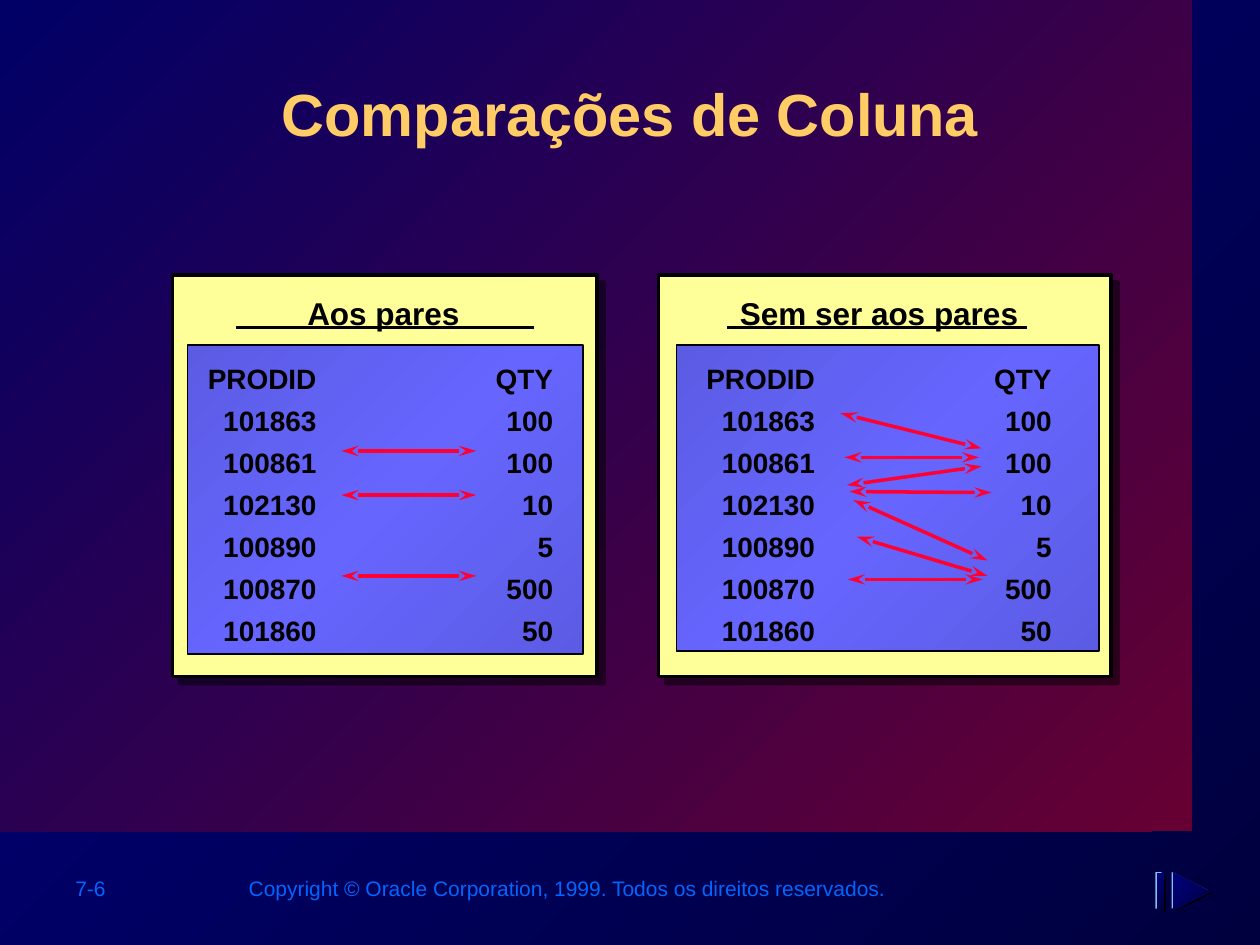
from copy import deepcopy
from dataclasses import dataclass

from lxml import etree
from pptx import Presentation, util as u
from pptx.dml.color import RGBColor
from pptx.enum import shapes as sh, text as tx
from pptx.oxml import ns

BLACK = RGBColor(0x00, 0x00, 0x00)
CREAM = RGBColor(0xFF, 0xFF, 0x99)
GOLD = RGBColor(0xFF, 0xCC, 0x66)
BLUE = RGBColor(0x00, 0x66, 0xFF)
RED = RGBColor(0xFF, 0x00, 0x33)
SKY = RGBColor(0x7F, 0xC1, 0xEB)
NIGHT = (RGBColor(0x00, 0x00, 0x3F), RGBColor(0x00, 0x00, 0x80))
WINE = (RGBColor(0x66, 0x00, 0x33), RGBColor(0x00, 0x00, 0x66))
EDGE = RGBColor(0x5B, 0x5B, 0xE4)
IRIS = (EDGE, RGBColor(0x66, 0x66, 0xFF), EDGE)

ROWS = [("PRODID", "QTY"), ("101863", "100"), ("100861", "100"), ("102130", "10"),
        ("100890", "5"), ("100870", "500"), ("101860", "50")]
TABLE = "\v".join(f"\t{prod}\t{qty}" for prod, qty in ROWS)


@dataclass
class Box:
    x: float
    y: float
    w: float
    h: float

    def args(self) -> tuple:
        return u.Cm(self.x), u.Cm(self.y), u.Cm(self.w), u.Cm(self.h)


@dataclass
class Link:
    x1: float
    y1: float
    x2: float
    y2: float


@dataclass
class Card:
    title: str
    frame: Box
    inner: Box
    head: Box
    body: Box
    rule: Link
    links: list[Link]


def add(node, tag: str, **attrs):
    return etree.SubElement(node, ns.qn(tag), {k: str(v) for k, v in attrs.items()})


def shade(node, dist: float) -> None:
    drop = add(add(node, "a:effectLst"), "a:outerShdw", blurRad=0,
               dist=u.Pt(dist), dir=45 * 60000, algn="ctr", rotWithShape=0)
    add(add(drop, "a:srgbClr", val=BLACK), "a:alpha", val=50000)


def blend(fill, node, tones: tuple) -> None:
    fill.gradient()
    fill.gradient_angle = 135
    stops = node.xpath(".//a:gradFill/a:gsLst")[0]
    while len(stops) < len(tones):
        stops.append(deepcopy(stops[-1]))
    last = len(tones) - 1
    for i, (stop, tone) in enumerate(zip(fill.gradient_stops, tones)):
        stop.color.rgb = tone
        stop.position = i / last


def paint(shape, tone, edge: float = 0) -> None:
    shape.shadow.inherit = False
    if isinstance(tone, RGBColor):
        shape.fill.solid()
        shape.fill.fore_color.rgb = tone
    else:
        blend(shape.fill, shape._element, tone)
    if edge:
        shape.line.color.rgb = BLACK
        shape.line.width = u.Pt(edge)
    else:
        shape.line.fill.background()


def rect(slide, box: Box, tone, edge: float = 0):
    shape = slide.shapes.add_shape(sh.MSO_SHAPE.RECTANGLE, *box.args())
    paint(shape, tone, edge)
    return shape


def wedge(slide, x: float, y: float, size: float, tone) -> None:
    form = slide.shapes.build_freeform(u.Cm(x + size), u.Cm(y + size / 2))
    form.add_line_segments([(u.Cm(x), u.Cm(y)), (u.Cm(x), u.Cm(y + size))], close=True)
    paint(form.convert_to_shape(), tone)


def write(slide, box: Box, words: str, *, size: float, tone: RGBColor, bold: bool = False,
          align=tx.PP_ALIGN.LEFT, wrap: bool = True, space: float = 1.0,
          tabs: tuple = (), drop: float = 0) -> None:
    frame = slide.shapes.add_textbox(*box.args()).text_frame
    frame.word_wrap = wrap
    para = frame.paragraphs[0]
    para.text = words
    para.alignment = align
    para.line_spacing = space
    if tabs:
        stops = add(para._p.get_or_add_pPr(), "a:tabLst")
        for pos in tabs:
            add(stops, "a:tab", pos=u.Cm(pos), algn="r")
    for run in para.runs:
        font = run.font
        font.size, font.bold = u.Pt(size), bold
        font.color.rgb = tone
        if drop:
            shade(run._r.get_or_add_rPr(), drop)
        font.name = "Arial"


def draw(slide, link: Link, tone: RGBColor, heads: bool = False) -> None:
    line = slide.shapes.add_connector(sh.MSO_CONNECTOR.STRAIGHT, u.Cm(link.x1), u.Cm(link.y1),
                                      u.Cm(link.x2), u.Cm(link.y2))
    line.line.color.rgb = tone
    line.line.width = u.Pt(2)
    if heads:
        for tag in ("a:headEnd", "a:tailEnd"):
            add(line.line._get_or_add_ln(), tag, type="stealth", w="med", len="lg")
    add(line._element.spPr, "a:effectLst")


def panel(slide, card: Card) -> None:
    frame = rect(slide, card.frame, CREAM, 2)
    frame._element.spPr.remove(frame._element.spPr.find(ns.qn("a:effectLst")))
    shade(frame._element.spPr, 5.7)
    rect(slide, card.inner, IRIS, 1)
    write(slide, card.head, card.title, size=18, tone=BLACK, bold=True,
          align=tx.PP_ALIGN.CENTER, wrap=False, space=1.25)
    write(slide, card.body, TABLE, size=16, tone=BLACK, bold=True,
          space=1.25, tabs=(3.18, 7.95))
    for link in card.links:
        draw(slide, link, RED, heads=True)
    draw(slide, card.rule, BLACK)


CARDS = [
    Card("Aos pares", Box(3.48, 5.54, 8.56, 8.1), Box(3.78, 6.96, 7.98, 6.22),
         Box(5.94, 5.61, 3.58, 1.17), Box(2.95, 6.99, 9.09, 5.94),
         Link(4.75, 6.6, 10.77, 6.6),
         [Link(6.88, y, 9.6, y) for y in (9.09, 9.98, 11.61)]),
    Card("Sem ser aos pares", Box(13.28, 5.54, 9.12, 8.1), Box(13.64, 6.96, 8.51, 6.17),
         Box(14.66, 5.61, 6.12, 1.17), Box(13, 6.99, 10.52, 5.94),
         Link(14.66, 6.6, 20.7, 6.6),
         [Link(17.02, 9.22, 19.74, 9.22), Link(16.94, 8.33, 19.79, 9.04),
          Link(17.07, 9.78, 19.79, 9.4), Link(19.81, 11.68, 17.09, 11.68),
          Link(19.91, 11.61, 17.27, 10.82), Link(19.91, 11.3, 17.2, 10.08),
          Link(19.99, 9.93, 17.12, 9.91)]),
]


def main() -> None:
    deck = Presentation()
    deck.slide_width, deck.slide_height = u.Cm(25.4), u.Cm(19.05)
    slide = deck.slides.add_slide(deck.slide_layouts[6])
    blend(slide.background.fill, slide.element, NIGHT)
    rect(slide, Box(0, 0, 24.03, 16.76), WINE)
    write(slide, Box(1.27, 17.53, 2.82, 0.76), "7-6", size=12, tone=BLUE, wrap=False)
    write(slide, Box(4.67, 17.53, 13.44, 0.76),
          "Copyright © Oracle Corporation, 1999. Todos os direitos reservados.",
          size=12, tone=BLUE, align=tx.PP_ALIGN.RIGHT, wrap=False)
    write(slide, Box(2.57, 1.42, 20.27, 2.44), "Comparações de Coluna", size=34,
          tone=GOLD, bold=True, align=tx.PP_ALIGN.CENTER, drop=4)
    for card in CARDS:
        panel(slide, card)
    layers = [(0.08, 0.05, BLACK), (0, 0, SKY), (0.04, 0.03, NIGHT)]
    for dx, dy, tone in layers:
        rect(slide, Box(23.29 + dx, 17.58 + dy, 0.13, 0.74), tone)
    for dx, dy, tone in layers:
        wedge(slide, 23.62 + dx, 17.58 + dy, 0.74, tone)
    deck.save("out.pptx")


if __name__ == "__main__":
    main()
